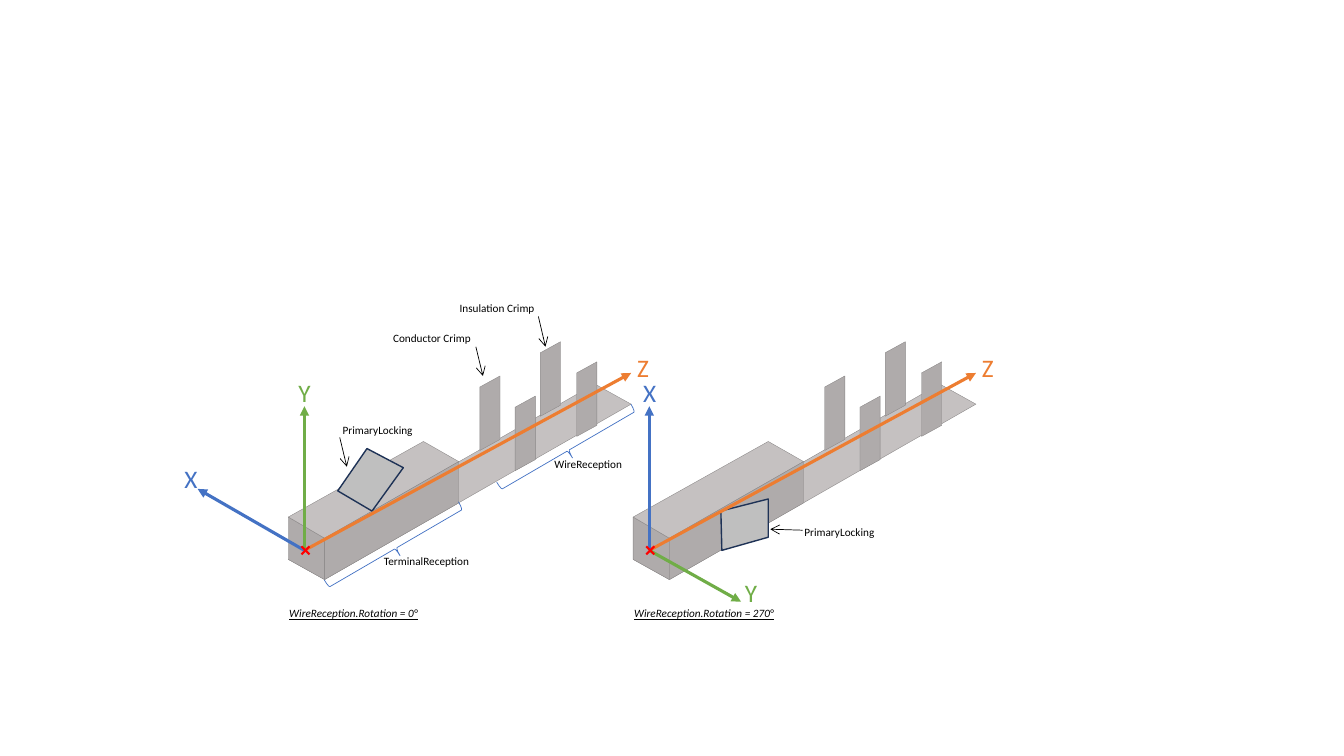
"""Build a slide comparing a crimp terminal at wire reception rotations of 0° and 270°."""
from lxml.etree import SubElement
from pptx import Presentation
from pptx.dml.color import RGBColor
from pptx.enum.shapes import MSO_CONNECTOR as CONNECTOR, MSO_SHAPE as SHAPE
from pptx.enum.text import MSO_AUTO_SIZE as AUTO_SIZE
from pptx.oxml.ns import qn
from pptx.util import Inches, Pt

BLACK = RGBColor(0x00, 0x00, 0x00)
RED = RGBColor(0xFF, 0x00, 0x00)
BLUE = RGBColor(0x44, 0x72, 0xC4)
GREEN = RGBColor(0x70, 0xAD, 0x47)
ORANGE = RGBColor(0xED, 0x7D, 0x31)
NAVY = RGBColor(0x1E, 0x32, 0x56)
SIDE_GRAY = RGBColor(0xAF, 0xAB, 0xAB)
TOP_GRAY = RGBColor(0xC5, 0xC1, 0xC1)
LATCH_GRAY = RGBColor(0xBF, 0xBF, 0xBF)
EDGE_GRAY = RGBColor(0x8A, 0x87, 0x87)


def write(shapes, text, left, top, width, height=0.24, size=8, color=BLACK, caption=False):
    frame = shapes.add_textbox(Inches(left), Inches(top), Inches(width), Inches(height)).text_frame
    frame.word_wrap = False
    frame.auto_size = AUTO_SIZE.SHAPE_TO_FIT_TEXT
    run = frame.paragraphs[0].add_run()
    run.text = text
    run.font.name = "Calibri"
    run.font.size = Pt(size)
    run.font.color.rgb = color
    if caption:
        run.font.italic = run.font.underline = True


def draw_line(shapes, start, end, color, weight, head=None):
    line = shapes.add_connector(CONNECTOR.STRAIGHT, *map(Inches, start + end))
    line.line.color.rgb = color
    line.line.width = Pt(weight)
    if head:
        SubElement(line.line._get_or_add_ln(), qn("a:tailEnd"), type=head)
    SubElement(line._element.spPr, qn("a:effectLst"))


prs = Presentation()
prs.slide_width, prs.slide_height = Inches(13.33), Inches(7.5)
slide = prs.slides.add_slide(prs.slide_layouts[6])

base_plate = [(2.86, 5.55), (5.9, 3.81), (6.26, 4.01), (3.22, 5.75)]
box_front = [(2.86, 5.13), (3.22, 5.34), (3.22, 5.75), (2.86, 5.55)]
box_top = [(2.86, 5.13), (4.2, 4.38), (4.55, 4.58), (3.22, 5.34)]
box_side = [(3.22, 5.34), (4.55, 4.58), (4.55, 4.99), (3.22, 5.75)]
wing = [(-0.1, -0.26), (0.1, -0.37), (0.1, 0.26), (-0.1, 0.37)]
wing_centers = [(5.46, 3.76), (5.82, 3.96), (4.86, 4.1), (5.21, 4.3)]
faces = [(base_plate, TOP_GRAY), (box_front, SIDE_GRAY), (box_top, TOP_GRAY), (box_side, SIDE_GRAY)]
faces += [([(x + dx, y + dy) for dx, dy in wing], SIDE_GRAY) for x, y in wing_centers]

diagrams = [
    dict(
        shift=0,
        latch=[(3.35, 4.87), (3.69, 5.07), (4, 4.64), (3.64, 4.45)],
        braces=[(3.84, 4.67), (5.55, 3.7)],
        pointers=[((3.37, 4.34), (3.44, 4.63)), ((4.72, 3.44), (4.79, 3.73)),
                  ((5.34, 3.14), (5.41, 3.44))],
        names=[("TerminalReception", 3.71, 5.45, 1.07), ("WireReception", 5.4, 4.49, 0.89),
               ("PrimaryLocking", 3.3, 4.15, 0.9), ("Conductor Crimp", 3.8, 3.24, 0.98),
               ("Insulation Crimp", 4.46, 2.94, 0.95)],
        upright=("Y", GREEN),
        sideways=("X", BLUE, (1.96, 4.85), (1.73, 4.55)),
        caption=("WireReception.Rotation = 0°", 1.51),
    ),
    dict(
        shift=3.42,
        latch=[(7.15, 5.07), (7.16, 5.46), (7.62, 5.33), (7.62, 4.95)],
        braces=[],
        pointers=[((7.96, 5.26), (7.64, 5.25))],
        names=[("PrimaryLocking", 7.88, 5.16, 0.9)],
        upright=("X", BLUE),
        sideways=("Y", GREEN, (7.35, 5.97), (7.29, 5.68)),
        caption=("WireReception.Rotation = 270°", 1.61),
    ),
]

for diagram in diagrams:
    shapes = slide.shapes.add_group_shape().shapes
    shift = diagram["shift"]

    outlines = [([(x + shift, y) for x, y in face], fill, EDGE_GRAY, 0.25) for face, fill in faces]
    outlines.append((diagram["latch"], LATCH_GRAY, NAVY, 1))
    for corners, fill, edge, weight in outlines:
        points = [(Inches(x), Inches(y)) for x, y in corners]
        builder = shapes.build_freeform(*points[0])
        builder.add_line_segments(points[1:], close=True)
        panel = builder.convert_to_shape()
        panel.shadow.inherit = False
        panel.fill.solid()
        panel.fill.fore_color.rgb = fill
        panel.line.color.rgb = edge
        panel.line.width = Pt(weight)

    for left, top in diagram["braces"]:
        brace = shapes.add_shape(SHAPE.RIGHT_BRACE, Inches(left), Inches(top), Inches(0.17), Inches(1.54))
        brace.rotation = 59.8
        brace.shadow.inherit = False
        brace.fill.background()
        brace.line.color.rgb = BLUE
        brace.line.width = Pt(0.5)

    for start, end in diagram["pointers"]:
        draw_line(shapes, start, end, BLACK, 0.5, "arrow")
    for name, left, top, width in diagram["names"]:
        write(shapes, name, left, top, width)

    letter, color = diagram["upright"]
    side_letter, side_color, side_tip, side_place = diagram["sideways"]
    axes = [
        ("Z", ORANGE, (6.26 + shift, 3.7), (6.22 + shift, 3.45)),
        (letter, color, (3.02 + shift, 4.03), (2.86 + shift, 3.69)),
        (side_letter, side_color, side_tip, side_place),
    ]
    for letter, color, tip, place in axes:
        draw_line(shapes, (3.02 + shift, 5.46), tip, color, 2.25, "triangle")
        write(shapes, letter, *place, 0.32, height=0.4, size=18, color=color)

    for y_start, y_end in [(5.42, 5.5), (5.5, 5.42)]:
        draw_line(shapes, (2.99 + shift, y_start), (3.07 + shift, y_end), RED, 1.5)

    caption, width = diagram["caption"]
    write(shapes, caption, 2.77 + shift, 5.97, width, caption=True)

prs.save("out.pptx")
